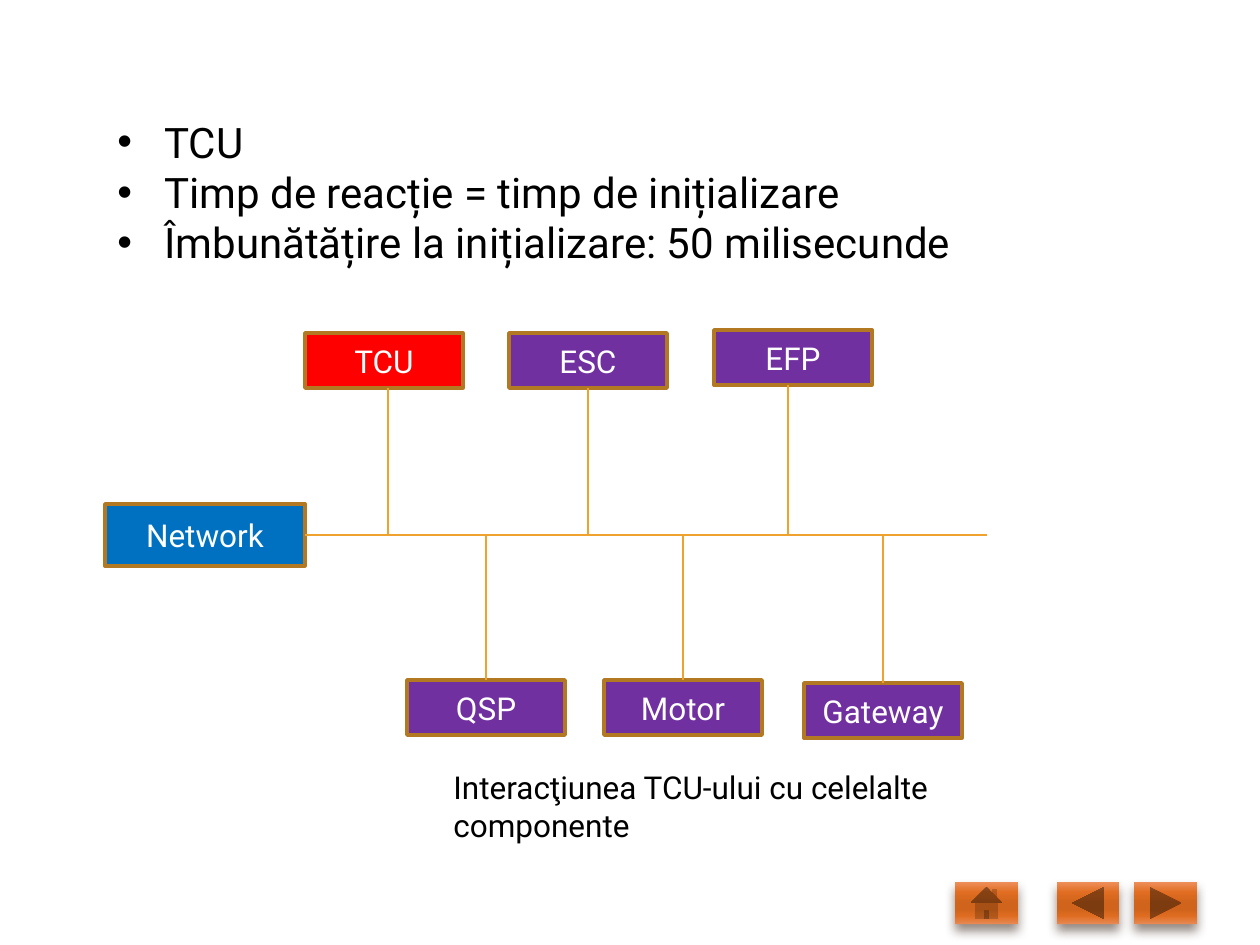
"""Builds a slide showing how the TCU connects to the other network components."""
import pptx
import pptx.dml.color
import pptx.enum.dml
import pptx.enum.shapes
import pptx.enum.text
import pptx.oxml
import pptx.oxml.ns
import pptx.util
from lxml import etree

SHAPE = pptx.enum.shapes.MSO_SHAPE
ALIGN = pptx.enum.text.PP_ALIGN
THEME = {
    "font": "Roboto", "body": 24, "label": 18,
    "text": "000000", "light": "FFFFFF", "edge": "B27822", "wire": "F0A22E",
    "network": "0070C0", "focus": "FF0000", "unit": "7030A0", "shade": "4E3B30",
    "button": [(0, "EE8F5B"), (25, "E06D21"), (50, "D0641C"),
               (65, "D0641C"), (80, "DE6C20"), (100, "E88852")],
}
POINTS = ["TCU", "Timp de reacție = timp de inițializare",
          "Îmbunătățire la inițializare: 50 milisecunde"]
CAPTION = "Interacţiunea TCU-ului cu celelalte componente"
NETWORK = ("Network", "network", (105, 504, 200, 62))
BUS_Y, BUS_END = 535, 987
UNIT_SIZE = (158, 55)
UNITS = [
    ("TCU", "focus", 305, 333, 388),
    ("ESC", "unit", 509, 333, None),
    ("EFP", "unit", 714, 330, 788),
    ("QSP", "unit", 407, 680, None),
    ("Motor", "unit", 604, 680, None),
    ("Gateway", "unit", 804, 683, None),
]
BUTTONS = [
    (SHAPE.ACTION_BUTTON_FORWARD_OR_NEXT, 1134, 63),
    (SHAPE.ACTION_BUTTON_BACK_OR_PREVIOUS, 1057, 62),
    (SHAPE.ACTION_BUTTON_HOME, 955, 63),
]
BUTTON_TOP, BUTTON_HEIGHT = 882, 42
INDENT = 47


def px(length):
    return pptx.util.Emu(round(length * 914400 / 126))


def color(name):
    return pptx.dml.color.RGBColor.from_string(THEME[name])


def child(parent, tag, **attributes):
    return etree.SubElement(parent, pptx.oxml.ns.qn(tag), attributes)


def add_span(para, text, size, ink):
    span = para.add_run()
    span.text = text
    span.font.name = THEME["font"]
    span.font.size = pptx.util.Pt(THEME[size])
    span.font.color.rgb = color(ink)


def add_text(page, lines, size, area, bullets=False):
    frame = page.shapes.add_textbox(*map(px, area)).text_frame
    frame.word_wrap = True
    frame.auto_size = pptx.enum.text.MSO_AUTO_SIZE.SHAPE_TO_FIT_TEXT
    for index, line in enumerate(lines):
        para = frame.add_paragraph() if index else frame.paragraphs[0]
        if bullets:
            layout = para._p.get_or_add_pPr()
            layout.set("marL", str(px(INDENT)))
            layout.set("indent", str(-px(INDENT)))
            child(layout, "a:buFont", typeface="Arial")
            child(layout, "a:buChar", char="•")
        add_span(para, line, size, "text")


def add_box(page, label, fill, area):
    box = page.shapes.add_shape(SHAPE.RECTANGLE, *map(px, area))
    box.shadow.inherit = False
    box.fill.solid()
    box.fill.fore_color.rgb = color(fill)
    box.line.color.rgb = color("edge")
    box.line.width = pptx.util.Pt(2)
    box.text_frame.vertical_anchor = pptx.enum.text.MSO_ANCHOR.MIDDLE
    para = box.text_frame.paragraphs[0]
    para.alignment = ALIGN.CENTER
    add_span(para, label, "label", "light")
    return box


def add_wire(page, start, end):
    wire = page.shapes.add_connector(
        pptx.enum.shapes.MSO_CONNECTOR.STRAIGHT, *map(px, start + end))
    wire.line.color.rgb = color("wire")
    wire.line.width = pptx.util.Pt(0.79)
    child(wire._element.spPr, "a:effectLst")
    return wire


def add_unit(page, label, fill, left, top, drop):
    width, height = UNIT_SIZE
    above = top < BUS_Y
    box = add_box(page, label, fill, (left, top, width, height))
    x = drop or left + width // 2
    wire = add_wire(page, (x, top + height if above else top), (x, BUS_Y))
    if drop is None:
        wire.begin_connect(box, 2 if above else 0)


def add_button(page, kind, left, width):
    button = page.shapes.add_shape(
        kind, *map(px, (left, BUTTON_TOP, width, BUTTON_HEIGHT)))
    button.line.fill.background()
    button.fill.gradient()
    button.fill.gradient_angle = 270
    stops = button._element.spPr.find(".//" + pptx.oxml.ns.qn("a:gsLst"))
    for stop in list(stops):
        stops.remove(stop)
    for position, tint in THEME["button"]:
        child(child(stops, "a:gs", pos=str(position * 1000)), "a:srgbClr", val=tint)
    button.shadow.inherit = False
    effects = button._element.spPr.find(pptx.oxml.ns.qn("a:effectLst"))
    shadow = child(effects, "a:outerShdw", blurRad=str(pptx.util.Pt(6)),
                   dist=str(pptx.util.Pt(4)), dir="5400000", rotWithShape="0")
    child(child(shadow, "a:srgbClr", val=THEME["shade"]), "a:alpha", val="60000")


def main():
    deck = pptx.Presentation()
    deck.slide_width, deck.slide_height = px(1260), px(945)
    page = deck.slides.add_slide(deck.slide_layouts[6])
    add_text(page, POINTS, "body", (105, 110, 882, 165), bullets=True)
    add_text(page, [CAPTION], "label", (441, 762, 662, 50))
    network = add_box(page, *NETWORK)
    left, _, width, _ = NETWORK[2]
    bus = add_wire(page, (left + width, BUS_Y), (BUS_END, BUS_Y))
    bus.begin_connect(network, 3)
    for unit in UNITS:
        add_unit(page, *unit)
    for button in BUTTONS:
        add_button(page, *button)
    deck.save("out.pptx")


if __name__ == "__main__":
    main()
